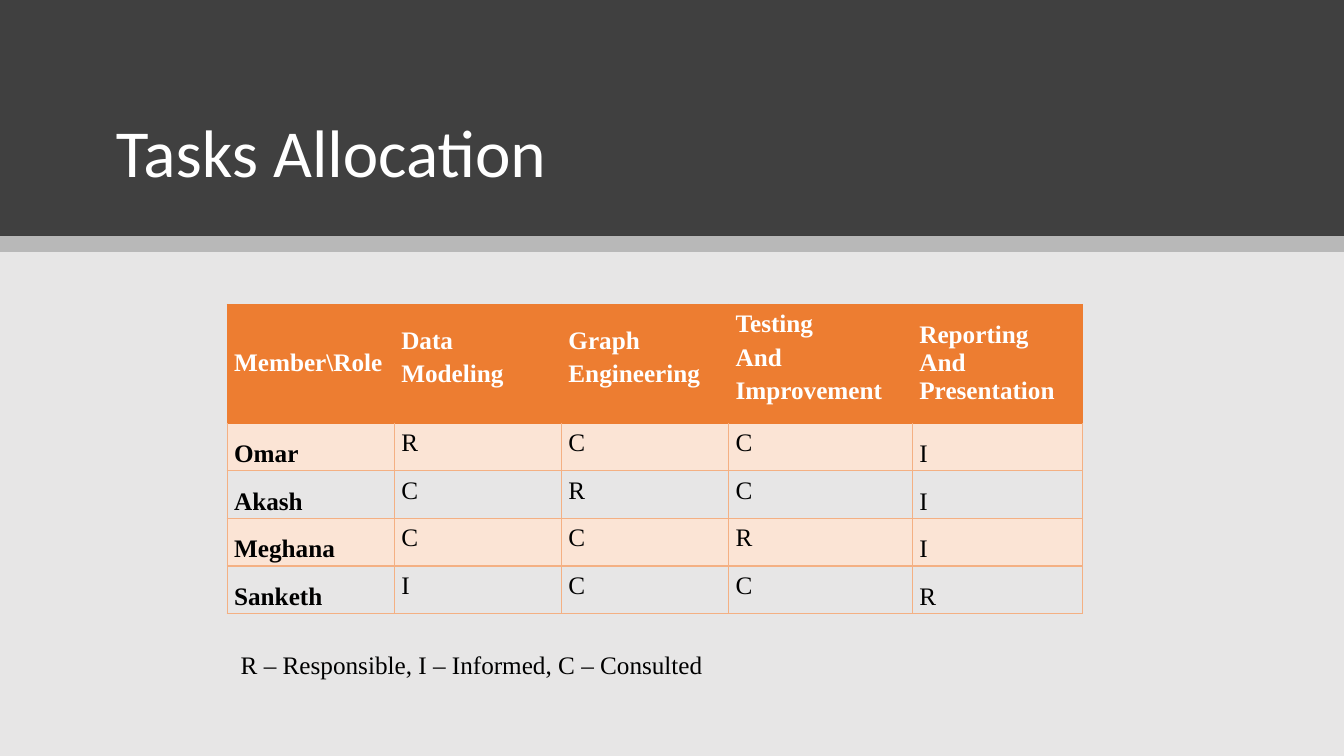
from lxml.etree import SubElement
from pptx import Presentation
from pptx.dml.color import RGBColor
from pptx.enum.shapes import MSO_SHAPE as SHAPE
from pptx.enum.text import MSO_ANCHOR as ANCHOR, MSO_AUTO_SIZE as FIT, PP_ALIGN as ALIGN
from pptx.oxml import parse_xml
from pptx.oxml.ns import nsdecls, qn
from pptx.util import Inches, Pt

COLS, ROWS = 80, 45  # grid of sixth-inch units
WHITE, BLACK, ORANGE, PEACH, RULE = "FFFFFF", "000000", "ED7D31", "FBE4D5", "F4B083"


def rgb(color):
    return RGBColor.from_string(color)


class Deck:
    title_font, body_font = "Calibri", "Times New Roman"
    title_size, body_size, line = 48, 18, 12

    def __init__(self):
        self.prs = Presentation()
        self.prs.slide_width, self.prs.slide_height = Inches(13.333), Inches(7.5)
        self.slide = self.prs.slides.add_slide(self.prs.slide_layouts[5])

    def x(self, cols):
        return round(self.prs.slide_width * cols / COLS)

    def y(self, rows):
        return round(self.prs.slide_height * rows / ROWS)

    def box(self, left, top, width, height):
        return self.x(left), self.y(top), self.x(width), self.y(height)

    def run(self, p, text, font, size, color, bold=False):
        r = p.add_run()
        r.text = text
        r.font.name, r.font.size, r.font.bold = font, Pt(size), bold
        r.font.color.rgb = rgb(color)

    def body_line(self, p, text, color=BLACK, bold=False):
        p.alignment, p.line_spacing = ALIGN.JUSTIFY, Pt(self.line)
        self.run(p, text, self.body_font, self.body_size, color, bold)

    def band(self, top, height, color, alpha=None):
        sp = self.slide.shapes.add_shape(SHAPE.RECTANGLE, *self.box(0, top, COLS, height))
        sp.shadow.inherit = False
        sp.fill.solid()
        sp.fill.fore_color.rgb = rgb(color)
        sp.line.fill.background()
        if alpha is not None:
            clr = sp.fill._xPr.find(qn("a:solidFill"))[0]
            SubElement(clr, qn("a:alpha"), val=str(alpha * 1000))

    def title(self, text, *area):
        sp = self.slide.shapes.title
        sp.left, sp.top, sp.width, sp.height = self.box(*area)
        self.slide.shapes._spTree.append(sp._element)  # bring above the bands
        tf = sp.text_frame
        tf.auto_size, tf.vertical_anchor, tf.word_wrap = FIT.NONE, ANCHOR.BOTTOM, True
        p = tf.paragraphs[0]
        p.alignment, p.line_spacing = ALIGN.LEFT, 0.9
        self.run(p, text, self.title_font, self.title_size, WHITE)

    def caption(self, text, *area):
        tf = self.slide.shapes.add_textbox(*self.box(*area)).text_frame
        tf.word_wrap, tf.auto_size = False, FIT.SHAPE_TO_FIT_TEXT
        self.body_line(tf.paragraphs[0], text)

    def cell(self, cell, lines, top, gap, fill, color, bold, edges):
        cell.margin_left = cell.margin_right = Inches(0.07)
        cell.margin_top, cell.margin_bottom = Pt(top), 0
        cell.vertical_anchor = ANCHOR.TOP
        if fill:
            cell.fill.solid()
            cell.fill.fore_color.rgb = rgb(fill)
        else:
            cell.fill.background()
        tf = cell.text_frame
        for i, text in enumerate(lines):
            p = tf.add_paragraph() if i else tf.paragraphs[0]
            if i:
                p.space_before = Pt(gap)
            self.body_line(p, text, color, bold)
        # Borders come before the fill: left, right, top, bottom
        tcPr = cell._tc.get_or_add_tcPr()
        for i, (side, edge) in enumerate(zip("LRTB", edges)):
            tcPr.insert(i, parse_xml(
                f'<a:ln{side} {nsdecls("a")} w="{Pt(1)}"><a:solidFill>'
                f'<a:srgbClr val="{edge}"/></a:solidFill></a:ln{side}>'))

    def table(self, left, top, widths, heights, header, body):
        area = self.box(left, top, sum(widths), sum(heights))
        tbl = self.slide.shapes.add_table(len(heights), len(widths), *area).table
        tbl.first_row = tbl.horz_banding = False
        for col, width in zip(tbl.columns, widths):
            col.width = self.x(width)
        for row, height in zip(tbl.rows, heights):
            row.height = self.y(height)
        for c, (lines, offset, gap) in enumerate(header):
            self.cell(tbl.cell(0, c), lines, offset, gap, ORANGE, WHITE, True, [ORANGE] * 4)
        for r, texts in enumerate(body, 1):
            fill = PEACH if r % 2 else None
            edges = [RULE, RULE, ORANGE if r == 1 else RULE, RULE]
            for c, text in enumerate(texts):
                offset = 20 if c in (0, len(texts) - 1) else 12
                self.cell(tbl.cell(r, c), [text], offset, 0, fill, BLACK, c == 0, edges)


# Header lines, offset of the first line and gap between lines, in points
ROLES = [
    (["Member\\Role"], 40, 0),
    (["Data", "Modeling"], 24, 12),
    (["Graph", "Engineering"], 24, 12),
    (["Testing", "And", "Improvement"], 12, 12),
    (["Reporting", "And", "Presentation"], 20, 8),
]
MEMBERS = [
    ("Omar", "R", "C", "C", "I"),
    ("Akash", "C", "R", "C", "I"),
    ("Meghana", "C", "C", "R", "I"),
    ("Sanketh", "I", "C", "C", "R"),
]


def main():
    deck = Deck()

    # Backdrop and header bands
    deck.band(0, ROWS, "E7E6E6")
    deck.band(0, 14.04, "404040")
    deck.band(14.04, 0.96, BLACK, alpha=20)
    deck.title("Tasks Allocation", 6.3, 2.82, 67.44, 8.94)

    # Responsibility table and its key
    widths = [9.95] * 3 + [10.94, 10.13]
    heights = [7.08] + [2.83] * len(MEMBERS)
    deck.table(13.52, 18.12, widths, heights, ROLES, MEMBERS)
    deck.caption("R – Responsible, I – Informed, C – Consulted", 13.74, 39.18, 28.98, 1.74)

    deck.prs.save("out.pptx")


if __name__ == "__main__":
    main()
